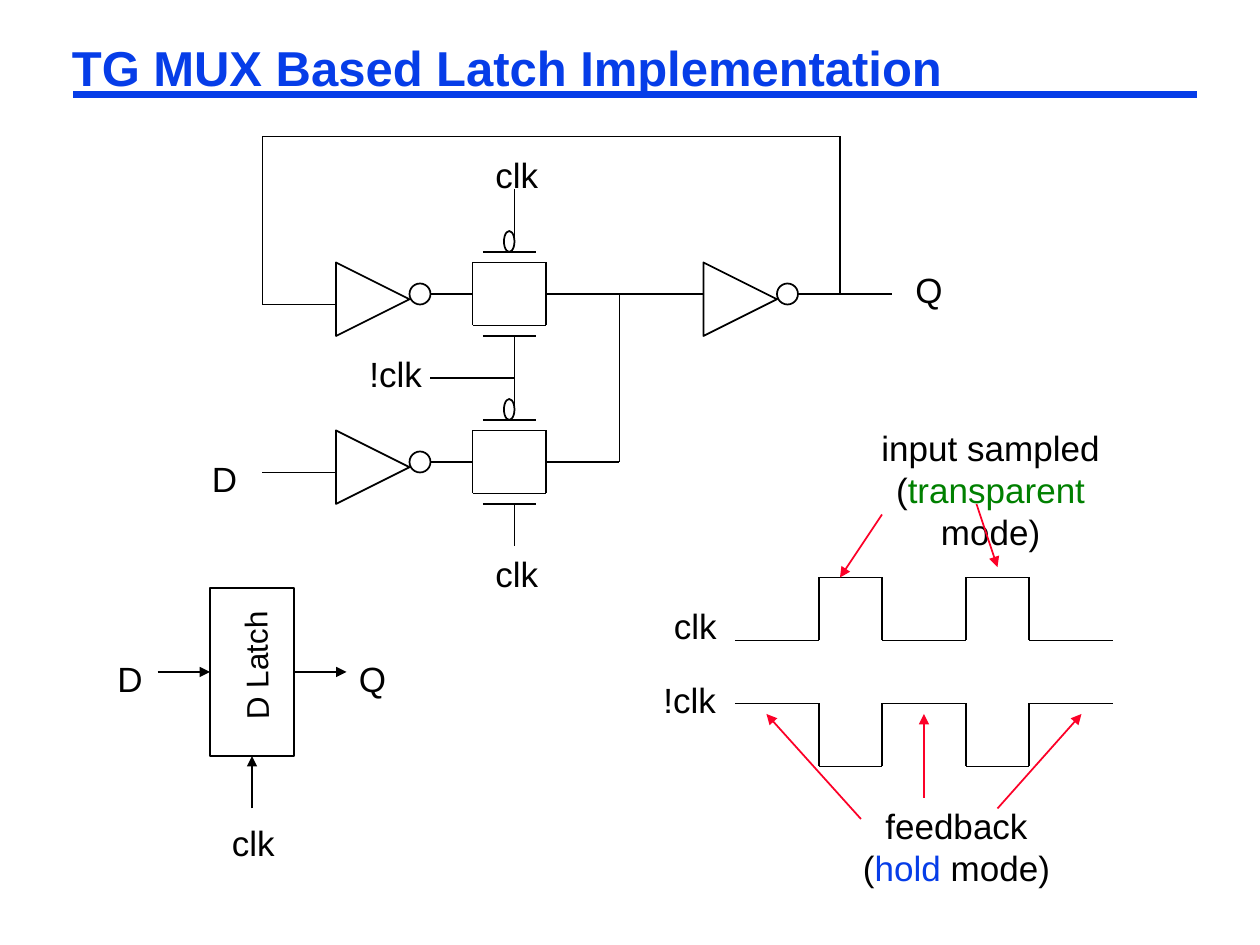
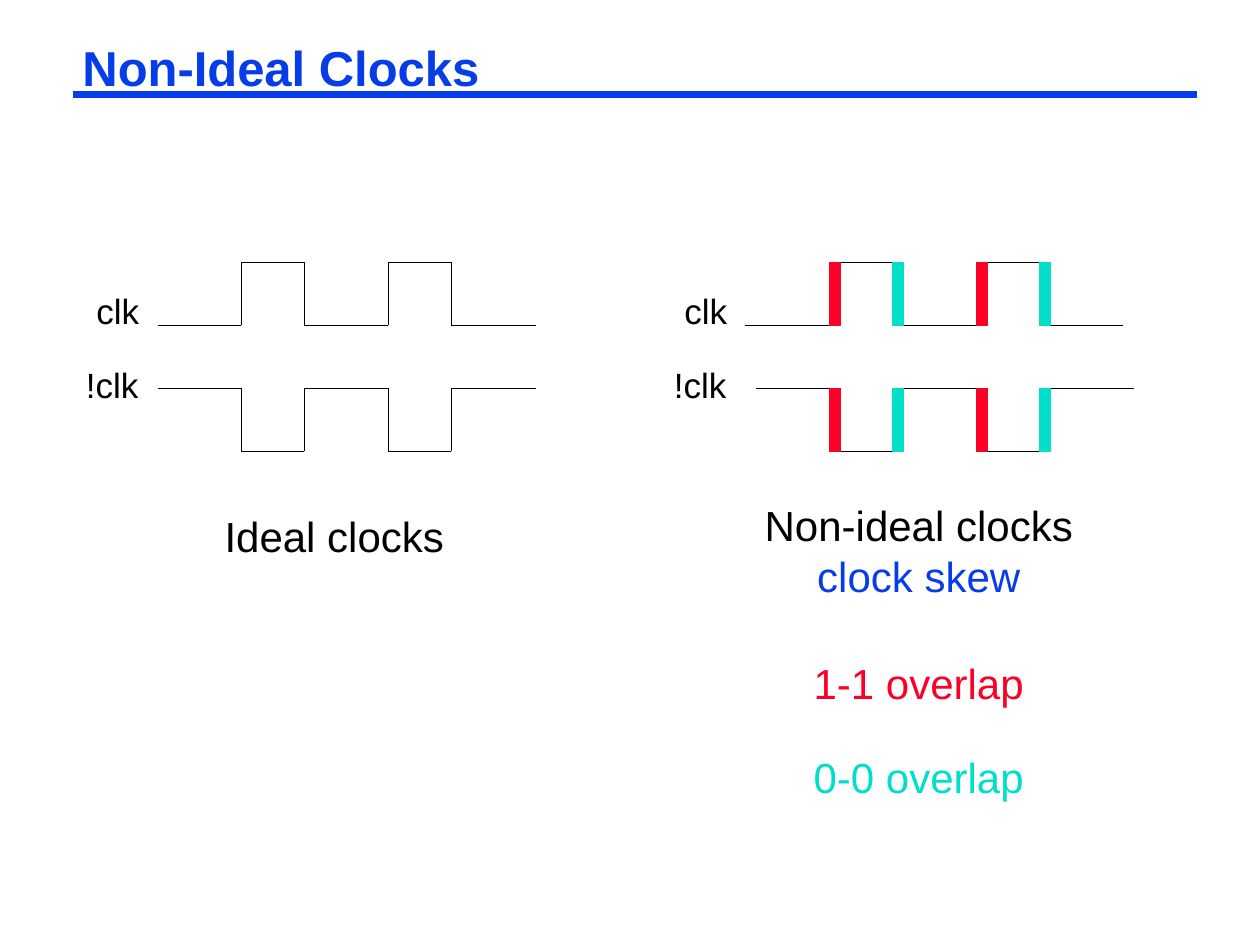
from itertools import pairwise

from lxml.etree import SubElement
from pptx import Presentation
from pptx.dml.color import RGBColor
from pptx.enum.shapes import MSO_CONNECTOR as Connector, MSO_SHAPE as Shape
from pptx.enum.text import MSO_ANCHOR as Anchor, MSO_AUTO_SIZE as AutoSize, PP_ALIGN as Align
from pptx.oxml.ns import qn
from pptx.util import Cm, Pt

FONT = "Arial"
BLACK, BLUE, RED, TEAL, GREEN = "000000", "063DE8", "FC0128", "00DFCA", "008000"
SIGNAL_WIDTHS = {"Q": 5, "D": 4.8, "clk": 6.5, "!clk": 7.4}


def grid(count):
    return Cm(count * 2.54 / 12)


def paint(color_format, color):
    color_format.rgb = RGBColor.from_string(color)


def set_font(font, size, color, bold=False):
    font.name, font.size, font.bold = FONT, Pt(size), bold
    paint(font.color, color)


def add_line(slide, start, end, color=BLACK, width=1, arrow=False):
    line = slide.shapes.add_connector(
        Connector.STRAIGHT, *(grid(value) for value in (*start, *end)))
    paint(line.line.color, color)
    line.line.width = Pt(width)
    properties = line.element.spPr
    if arrow:
        SubElement(properties.find(qn("a:ln")), qn("a:tailEnd"), type="triangle")
    SubElement(properties, qn("a:effectLst"))
    return line


def add_wire(slide, left, top, *points):
    placed = [(left + x, top + y) for x, y in points]
    for start, end in pairwise(placed):
        add_line(slide, start, end)


def add_arrow(slide, left, top, start, end, color=BLACK):
    add_line(slide, (left + start[0], top + start[1]),
             (left + end[0], top + end[1]), color, arrow=True)


def add_outline(slide, kind, left, top, width, height, fill=None):
    shape = slide.shapes.add_shape(
        kind, *(grid(value) for value in (left, top, width, height)))
    shape.shadow.inherit = False
    if fill:
        shape.fill.solid()
        paint(shape.fill.fore_color, fill)
    else:
        shape.fill.background()
    paint(shape.line.color, fill or BLACK)
    shape.line.width = Pt(1)
    return shape


def add_text(slide, lines, left, top, width, height, size=20, align=Align.CENTER, wrap=False):
    box = slide.shapes.add_textbox(*(grid(value) for value in (left, top, width, height)))
    frame = box.text_frame
    frame.word_wrap = wrap
    frame.auto_size = AutoSize.NONE
    for index, runs in enumerate(lines):
        paragraph = frame.add_paragraph() if index else frame.paragraphs[0]
        paragraph.alignment = align
        set_font(paragraph.font, size, runs[0][1])
        for text, color in runs:
            run = paragraph.add_run()
            run.text = text
            if color != runs[0][1]:
                paint(run.font.color, color)
    return box


def add_signal(slide, name, left, top):
    add_text(slide, [[(name, BLACK)]], left, top, SIGNAL_WIDTHS[name], 5.2, align=Align.LEFT)


def add_titled_slide(presentation, title, left):
    slide = presentation.slides.add_slide(presentation.slide_layouts[5])
    shape = slide.shapes.title
    shape.left, shape.top, shape.width, shape.height = map(grid, (left, 4, 108, 5.5))
    frame = shape.text_frame
    frame.text = title
    frame.auto_size = AutoSize.NONE
    frame.vertical_anchor = Anchor.TOP
    frame.margin_left = frame.margin_right = Cm(0.18)
    frame.margin_top = frame.margin_bottom = Cm(0.08)
    paragraph = frame.paragraphs[0]
    paragraph.alignment = Align.LEFT
    paragraph.line_spacing = 0.87
    set_font(paragraph.font, 28, BLUE, bold=True)
    return slide


def move_rule_to_layout(slide):
    rule = add_line(slide, (7, 9), (114, 9), BLUE, 4.5)
    slide.slide_layout.shapes.element.append(rule.element)


def add_inverter(slide, left, top):
    triangle = add_outline(slide, Shape.ISOSCELES_TRIANGLE, left, top, 7, 7)
    triangle.rotation = 90
    add_outline(slide, Shape.OVAL, left + 7, top + 2, 2, 2)


def add_transmission_gate(slide, left, top):
    add_wire(slide, left, top, (0, 0), (7, 0), (7, 6), (0, 6), (0, 0))
    for bar in (-1, 7):
        add_wire(slide, left, top, (1, bar), (6, bar))
    add_outline(slide, Shape.OVAL, left + 3, top - 3, 1, 2)
    add_wire(slide, left, top, (-4, 3), (0, 3))


def add_latch_circuit(slide, left, top):
    for x, y in ((7, 12), (7, 28), (42, 12)):
        add_inverter(slide, left + x, top + y)
    for y in (12, 28):
        add_transmission_gate(slide, left + 20, top + y)
    for points in (
        [(7, 16), (0, 16), (0, 0), (55, 0), (55, 15)],
        [(0, 32), (7, 32)],
        [(27, 15), (42, 15)],
        [(27, 31), (34, 31), (34, 15)],
        [(51, 15), (60, 15)],
        [(24, 5), (24, 10)],
        [(24, 19), (24, 26)],
        [(24, 35), (24, 39)],
        [(16, 23), (24, 23)],
    ):
        add_wire(slide, left, top, *points)
    for name, x, y in (("Q", 61, 12), ("D", -6, 30), ("clk", 21, 39),
                       ("clk", 21, 1), ("!clk", 9, 20)):
        add_signal(slide, name, left + x, top + y)


def add_latch_symbol(slide, left, top):
    add_outline(slide, Shape.RECTANGLE, left, top, 8, 16)
    name = add_text(slide, [[("D Latch", BLACK)]], left - 2, top + 5, 12.7, 4.8, size=18)
    name.rotation = 269
    for start, end in (((4, 21), (4, 16)), ((-5, 8), (0, 8)), ((8, 8), (13, 8))):
        add_arrow(slide, left, top, start, end)
    for signal, x, y in (("clk", 0.9, 21.6), ("Q", 13, 6), ("D", -10, 6)):
        add_signal(slide, signal, left + x, top + y)


def add_clock_pair(slide, left, top, skew=0):
    edges = (0, 8, 14, 22, 28, 36)
    for name, x, y, shift, levels in (("clk", -7, 2, 0, (6, 0)),
                                      ("!clk", -8, 9, skew, (12, 18))):
        points = []
        for index, span in enumerate(pairwise(edges)):
            points += [(edge + shift, levels[index % 2]) for edge in span]
        add_wire(slide, left, top, *points)
        add_signal(slide, name, left + x, top + y)


def add_mode_notes(slide, left, top):
    sampled = add_text(
        slide,
        [[("input sampled", BLACK)],
         [("(", BLACK), ("transparent", GREEN), (" mode)", BLACK)]],
        left + 9, top - 15, 30.7, 9.2, wrap=True)
    sampled.text_frame.margin_left = sampled.text_frame.margin_right = Cm(0.8)
    add_text(
        slide,
        [[("feedback", BLACK)], [("(", BLACK), ("hold", BLUE), (" mode)", BLACK)]],
        left + 11, top + 21, 20.2, 9.2)
    for start, end in (((14, -6), (10, 0)), ((23, -7), (25, -1)), ((18, 21), (18, 13)),
                       ((25, 22), (33, 13)), ((12, 23), (3, 13))):
        add_arrow(slide, left, top, start, end, RED)


def add_overlaps(slide, left, top):
    for name, color, columns, text_top in (("1-1 overlap", RED, (8, 22), 37),
                                           ("0-0 overlap", TEAL, (14, 28), 46)):
        for x in columns:
            for y in (0, 12):
                add_outline(slide, Shape.RECTANGLE, left + x, top + y, 1, 6, color)
        add_text(slide, [[(name, color)]], left + 1, top + text_top, 31, 6, size=24, wrap=True)


def build_latch_slide(presentation):
    slide = add_titled_slide(presentation, "TG MUX Based Latch Implementation", 6)
    move_rule_to_layout(slide)
    add_latch_circuit(slide, 25, 13)
    add_clock_pair(slide, 70, 55)
    add_mode_notes(slide, 70, 55)
    add_latch_symbol(slide, 20, 56)


def build_clocks_slide(presentation):
    slide = add_titled_slide(presentation, "Non-Ideal Clocks", 7)
    add_clock_pair(slide, 15, 25)
    add_text(slide, [[("Ideal clocks", BLACK)]], 20.2, 48, 24.8, 6,
             size=24, align=Align.LEFT, wrap=True)
    add_clock_pair(slide, 71, 25, skew=1)
    add_text(slide, [[("Non-ideal clocks", BLACK)], [("clock skew", BLUE)]],
             70, 47, 35, 10.8, size=24, wrap=True)
    add_overlaps(slide, 71, 25)


def main():
    presentation = Presentation()
    presentation.slide_width, presentation.slide_height = Cm(25.4), Cm(19.05)
    build_latch_slide(presentation)
    build_clocks_slide(presentation)
    presentation.save("out.pptx")


if __name__ == "__main__":
    main()
